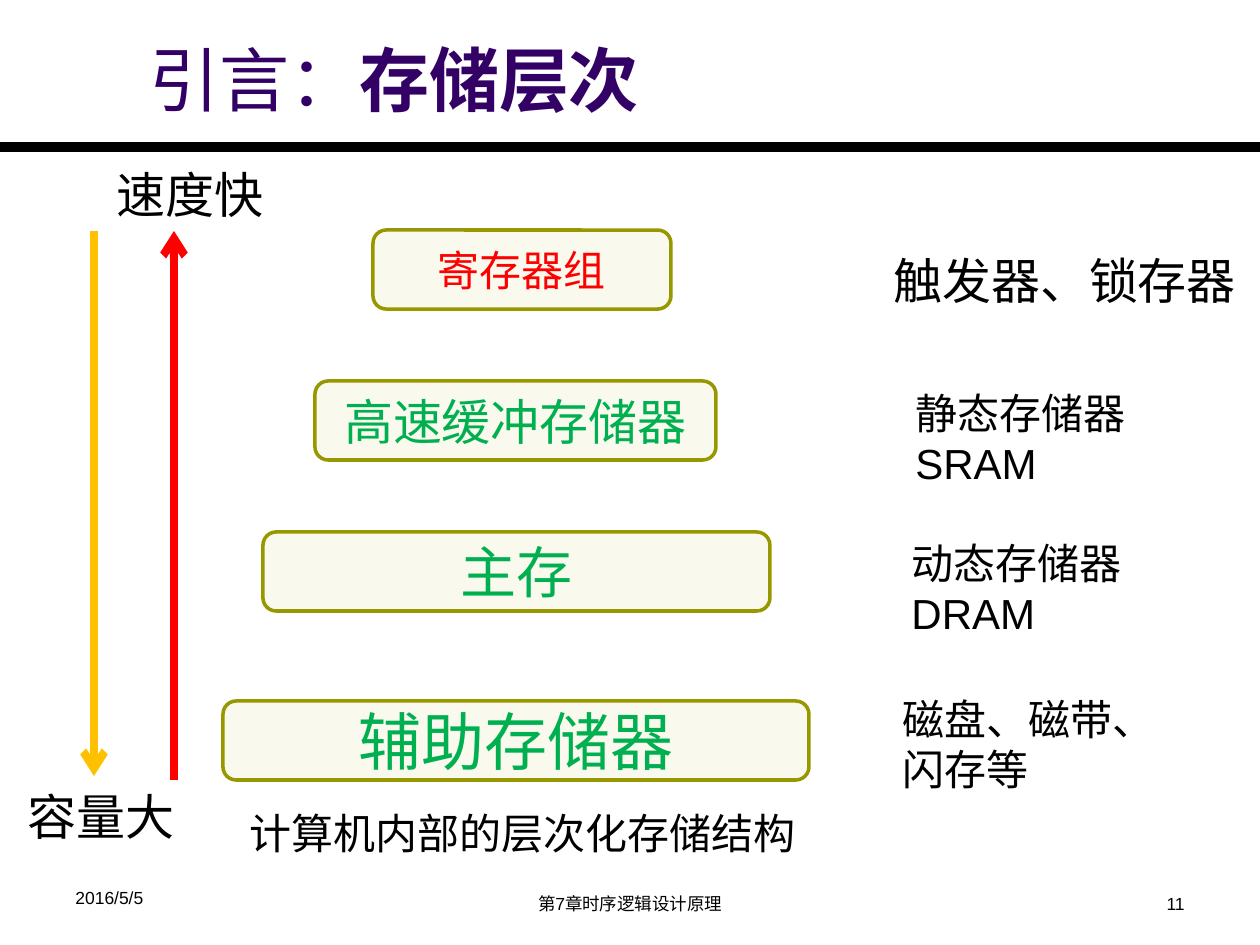
from dataclasses import dataclass

from lxml import etree
from pptx import Presentation
from pptx.dml.color import RGBColor
from pptx.enum.shapes import MSO_CONNECTOR, MSO_SHAPE
from pptx.enum.text import MSO_ANCHOR, PP_ALIGN
from pptx.oxml.ns import qn
from pptx.util import Emu, Pt

LEFT, CENTER, RIGHT = PP_ALIGN.LEFT, PP_ALIGN.CENTER, PP_ALIGN.RIGHT
TOP, MIDDLE, BOTTOM = MSO_ANCHOR.TOP, MSO_ANCHOR.MIDDLE, MSO_ANCHOR.BOTTOM
STRAIGHT = MSO_CONNECTOR.STRAIGHT
ROUNDED = MSO_SHAPE.ROUNDED_RECTANGLE

EMU_PER_PX = 914400 / 126
SLIDE_W, SLIDE_H = 1260, 945
LEVEL_H = 79


@dataclass(frozen=True)
class Theme:
    font: str = "Arial"
    text: str = "000000"
    title: str = "330066"
    register: str = "FF0000"
    memory: str = "00B050"
    box_fill: str = "F9F9EE"
    box_line: str = "979700"
    capacity: str = "FFC000"
    speed: str = "FF0000"
    title_size: int = 40
    label_size: int = 28
    note_size: int = 24
    footer_size: int = 10
    rule_width: float = 6
    arrow_width: float = 4.5
    box_width: float = 2


THEME = Theme()

# name, text size, colour, left, top, width
LEVELS = [
    ("寄存器组", 24, THEME.register, 373, 230, 298),
    ("高速缓冲存储器", 28, THEME.memory, 315, 381, 401),
    ("主存", 32, THEME.memory, 263, 532, 507),
    ("辅助存储器", 36, THEME.memory, 223, 701, 586),
]

# text, size, left, top, width, height
NOTES = [
    ("触发器、锁存器", THEME.label_size, 881, 244, 379, 72),
    ("静态存储器SRAM", THEME.note_size, 903, 381, 257, 114),
    ("动态存储器DRAM", THEME.note_size, 899, 531, 261, 114),
    ("磁盘、磁带、闪存等", THEME.note_size, 890, 687, 278, 114),
    ("速度快", THEME.label_size, 104, 158, 180, 72),
    ("容量大", THEME.label_size, 15, 780, 180, 72),
]

# text, alignment, left, top, width, height
FOOTERS = [
    ("2016/5/5", LEFT, 63, 881, 294, 43),
    ("第7章时序逻辑设计原理", CENTER, 430, 887, 400, 37),
    ("11", RIGHT, 903, 887, 294, 37),
]


def px(n):
    return Emu(round(n * EMU_PER_PX))


def rgb(value):
    return RGBColor.from_string(value)


def write(tf, *parts, size, color=THEME.text, align=LEFT, anchor=TOP, wrap=True):
    """Fill a text frame with one paragraph; each part is (text, bold)."""
    tf.word_wrap = wrap
    tf.vertical_anchor = anchor
    p = tf.paragraphs[0]
    p.alignment = align
    for text, bold in parts:
        r = p.add_run()
        r.text = text
        r.font.name = THEME.font
        r.font.size = Pt(size)
        r.font.bold = bold
        r.font.color.rgb = rgb(color)


def add_text(s, box, *parts, **fmt):
    sp = s.shapes.add_textbox(*map(px, box))
    write(sp.text_frame, *parts, **fmt)


def add_level(s, name, size, color, left, top, width):
    sp = s.shapes.add_shape(ROUNDED, px(left), px(top), px(width), px(LEVEL_H))
    sp.shadow.inherit = False
    sp.fill.solid()
    sp.fill.fore_color.rgb = rgb(THEME.box_fill)
    sp.line.color.rgb = rgb(THEME.box_line)
    sp.line.width = Pt(THEME.box_width)
    write(sp.text_frame, (name, False), size=size, color=color,
          align=CENTER, anchor=MIDDLE)


def add_line(s, start, end, color, width, arrow=False):
    line = s.shapes.add_connector(STRAIGHT, *map(px, start + end))
    line.line.color.rgb = rgb(color)
    line.line.width = Pt(width)
    if arrow:
        ln = line.line._get_or_add_ln()
        etree.SubElement(ln, qn("a:tailEnd"), type="arrow")
    etree.SubElement(line._element.spPr, qn("a:effectLst"))


def main():
    prs = Presentation()
    prs.slide_width, prs.slide_height = px(SLIDE_W), px(SLIDE_H)
    s = prs.slides.add_slide(prs.slide_layouts[6])

    add_line(s, (0, 147), (SLIDE_W, 147), THEME.text, THEME.rule_width)
    add_text(s, (137, 25, 951, 102), ("引言：", False), ("存储层次", True),
             size=THEME.title_size, color=THEME.title, anchor=BOTTOM)
    for text, align, *box in FOOTERS:
        add_text(s, box, (text, False), size=THEME.footer_size, align=align)
    for level in LEVELS:
        add_level(s, *level)
    for text, size, *box in NOTES:
        add_text(s, box, (text, False), size=size)
    add_line(s, (94, 231), (94, 776), THEME.capacity, THEME.arrow_width, arrow=True)
    add_line(s, (174, 780), (174, 231), THEME.speed, THEME.arrow_width, arrow=True)
    add_text(s, (237, 801, 588, 63), ("计算机内部的层次化存储结构", False),
             size=THEME.note_size, wrap=False)

    prs.save("out.pptx")


if __name__ == "__main__":
    main()
